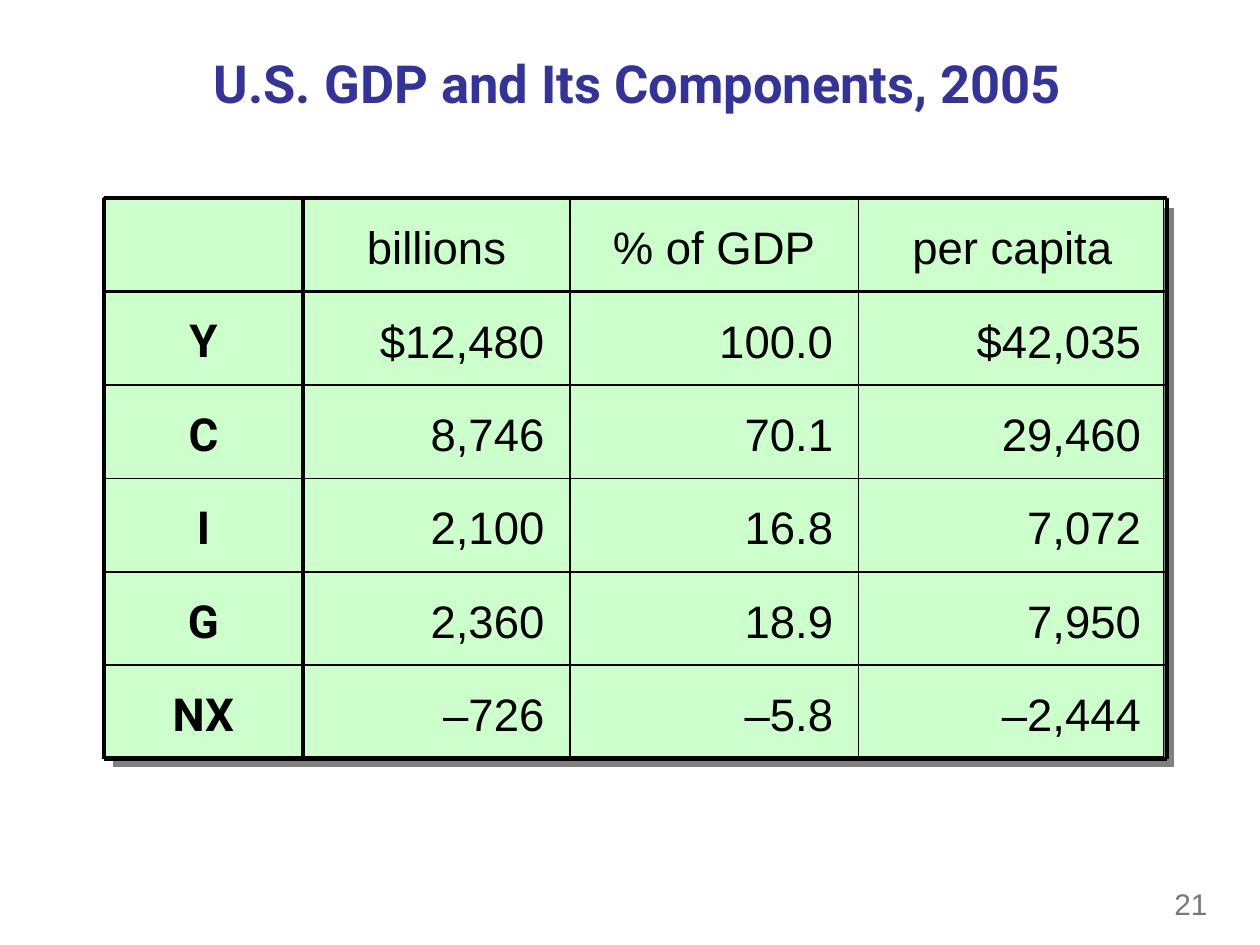
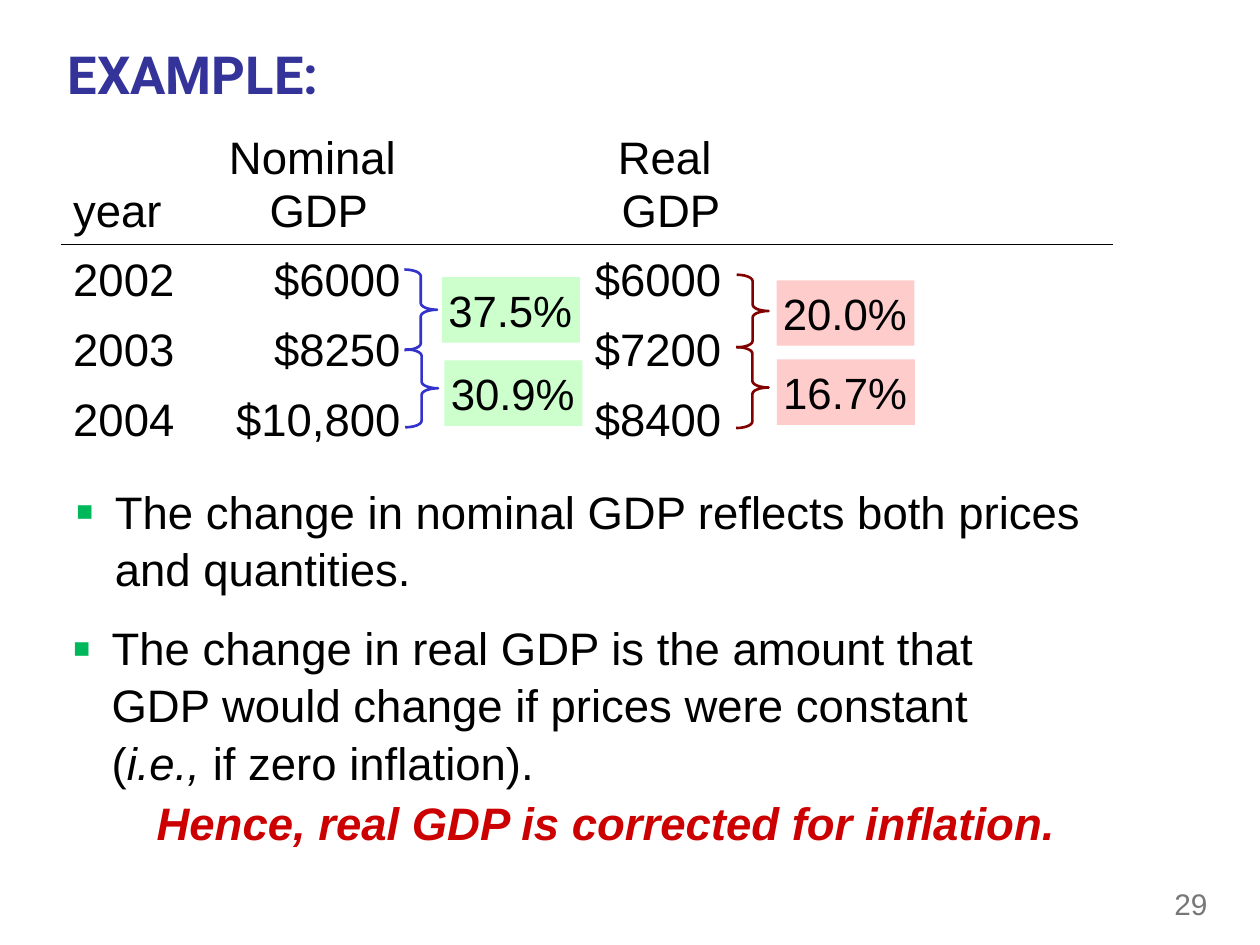
from lxml.etree import SubElement
from pptx import Presentation
from pptx.dml.color import RGBColor as Rgb
from pptx.enum.shapes import MSO_CONNECTOR as Connector, MSO_SHAPE as Shape
from pptx.enum.text import MSO_ANCHOR as Anchor, MSO_AUTO_SIZE as AutoSize, PP_ALIGN as Align
from pptx.oxml.ns import qn
from pptx.util import Pt

COLORS = {
    "title": "333399", "text": "000000", "number": "777777", "bullet": "00B85C",
    "green": "CCFFCC", "pink": "FFCCCC", "blue": "3333CC", "maroon": "800000",
    "conclusion": "CC0000", "shadow": "808080",
}
TEXT = {"name": "Arial", "size": Pt(26), "bold": False, "italic": False}
HEADING = TEXT | {"name": "Roboto", "bold": True}
TITLE = HEADING | {"size": Pt(30)}
NUMBER = TEXT | {"size": Pt(17)}
RATE = TEXT | {"size": Pt(25)}
CONCLUSION = TEXT | {"bold": True, "italic": True}
MARGINS = {"margin_left": Pt(7.2), "margin_right": Pt(7.2),
           "margin_top": Pt(3.6), "margin_bottom": Pt(3.6)}
FRAME = MARGINS | {"word_wrap": True, "auto_size": AutoSize.NONE, "vertical_anchor": Anchor.TOP}
MIDDLE = FRAME | {"vertical_anchor": Anchor.MIDDLE}
RATE_FRAME = FRAME | {"margin_left": Pt(3.6), "margin_right": Pt(3.6), "word_wrap": False}
NO_STYLE = "{2D5ABB26-0587-4C30-8999-92F81FD0307C}"

COMPONENTS = [
    ("", "billions", "% of GDP", "per capita"),
    ("Y", "$12,480", "100.0", "$42,035"),
    ("C", "8,746", "70.1", "29,460"),
    ("I", "2,100", "16.8", "7,072"),
    ("G", "2,360", "18.9", "7,950"),
    ("NX", "–726", "–5.8", "–2,444"),
]
GDP_BY_YEAR = [
    ("year", "Nominal \nGDP", "", "Real \nGDP", ""),
    ("2002", "$6000", "", "$6000", ""),
    ("2003", "$8250", "", "$7200", ""),
    ("2004", "$10,800", "", "$8400", ""),
]
NOMINAL_GROWTH = [("37.5%", (231.1, 154, 18.7, 46), (252.6, 158.4)),
                  ("30.9%", (231.6, 199.6, 18.7, 44.6), (254, 206))]
REAL_GROWTH = [("20.0%", (421, 157, 18.2, 41.5), (443.8, 160.2)),
               ("16.7%", (420.7, 198.3, 18.5, 46.3), (444, 205.4))]


def color(key):
    """Return the named colour."""
    return Rgb.from_string(COLORS[key])


def points(*lengths):
    """Turn numbers into lengths in points."""
    return [Pt(length) for length in lengths]


def apply(target, values):
    """Set attributes from a dict of format values."""
    for attribute, value in values.items():
        setattr(target, attribute, value)


def write(frame, pieces, font, ink="text", align=Align.LEFT, spacing=1.0):
    """Write one paragraph of (text, font overrides) pieces and return it."""
    paragraph = frame.paragraphs[0]
    apply(paragraph, {"alignment": align, "line_spacing": spacing})
    for text, overrides in pieces:
        for index, line in enumerate(text.split("\n")):
            if index:
                paragraph.add_line_break()
            run = paragraph.add_run()
            run.text = line
            apply(run.font, font | overrides)
            run.font.color.rgb = color(ink)
    return paragraph


def add_text(slide, box, text, font, layout=FRAME, **style):
    """Add a text box with one plain paragraph."""
    frame = slide.shapes.add_textbox(*points(*box)).text_frame
    apply(frame, layout)
    write(frame, [(text, {})], font, **style)


def add_bullet(slide, box, pieces):
    """Add a text box with one bulleted paragraph."""
    frame = slide.shapes.add_textbox(*points(*box)).text_frame
    apply(frame, FRAME)
    properties = write(frame, pieces, TEXT, spacing=1.05)._p.get_or_add_pPr()
    properties.set("marL", str(Pt(22.5)))
    properties.set("indent", str(Pt(-22.5)))
    bullet_color = SubElement(properties, qn("a:buClr"))
    SubElement(bullet_color, qn("a:srgbClr"), val=COLORS["bullet"])
    SubElement(properties, qn("a:buSzPct"), val="120000")
    SubElement(properties, qn("a:buFont"), typeface="Arial")
    SubElement(properties, qn("a:buChar"), char="▪")


def add_titled_slide(deck, title, box, align, number):
    """Add a slide with its title and slide number."""
    slide = deck.slides.add_slide(deck.slide_layouts[5])
    heading = slide.shapes.title
    apply(heading, dict(zip(("left", "top", "width", "height"), points(*box))))
    apply(heading.text_frame, MIDDLE)
    write(heading.text_frame, [(title, {})], TITLE, "title", align)
    add_text(slide, (664, 501.4, 48.2, 29.5), number, NUMBER, MIDDLE, ink="number")
    return slide


def set_borders(cell, widths):
    """Draw the cell sides given by letter and width, and clear the others."""
    properties = cell._tc.get_or_add_tcPr()
    for index, side in enumerate("LRTB"):
        line = SubElement(properties, qn(f"a:ln{side}"), w=str(Pt(widths.get(side, 0))))
        if side in widths:
            fill = SubElement(line, qn("a:solidFill"))
            SubElement(fill, qn("a:srgbClr"), val=COLORS["text"])
        else:
            SubElement(line, qn("a:noFill"))
        properties.insert(index, line)


def add_grid(slide, left, top, widths, heights, rows, format_cell):
    """Add an unstyled table and format each cell by its row and column."""
    box = points(left, top, sum(widths), sum(heights))
    table = slide.shapes.add_table(len(rows), len(widths), *box).table
    apply(table, {"first_row": False, "horz_banding": False})
    table._tbl.tblPr.find(qn("a:tableStyleId")).text = NO_STYLE
    for column, width in zip(table.columns, widths):
        column.width = Pt(width)
    for r, (row, height) in enumerate(zip(rows, heights)):
        table.rows[r].height = Pt(height)
        for c, text in enumerate(row):
            cell = table.cell(r, c)
            apply(cell, MARGINS | {"vertical_anchor": Anchor.MIDDLE})
            cell.fill.background()
            font, align = format_cell(cell, r, c)
            write(cell.text_frame, [(text, {})] if text else [], font, align=align, spacing=1.05)


def add_shadow_panel(slide, box):
    """Add the green panel with its hard grey shadow."""
    panel = slide.shapes.add_shape(Shape.RECTANGLE, *points(*box))
    panel.shadow.inherit = False
    panel.fill.solid()
    panel.fill.fore_color.rgb = color("green")
    panel.line.color.rgb = color("text")
    panel.line.width = Pt(0.75)
    effects = panel._element.spPr.find(qn("a:effectLst"))
    shadow = SubElement(effects, qn("a:outerShdw"), dist=str(Pt(8.5)), dir="2700000",
                        algn="ctr", rotWithShape="0")
    SubElement(shadow, qn("a:srgbClr"), val=COLORS["shadow"])


def add_rule(slide, ends, weight):
    """Add one straight black rule."""
    rule = slide.shapes.add_connector(Connector.STRAIGHT, *points(*ends))
    rule.line.color.rgb = color("text")
    rule.line.width = Pt(weight)
    SubElement(rule._element.spPr, qn("a:effectLst"))


def add_rules(slide, left, top, widths, heights):
    """Rule a grid, heavier at its frame, header row and first column."""
    right, bottom = left + sum(widths), top + sum(heights)
    for index in range(len(heights) + 1):
        y = top + sum(heights[:index])
        add_rule(slide, (left, y, right, y), 2.25 if index in (0, 1, len(heights)) else 1)
    for index in range(len(widths) + 1):
        x = left + sum(widths[:index])
        add_rule(slide, (x, top, x, bottom), 2.25 if index in (0, 1, len(widths)) else 1)


def format_component(cell, row, column):
    """Align a cell of the components table."""
    cell.margin_top = Pt(6.8)
    if row and column:
        cell.margin_right = Pt(14.4)
        return TEXT, Align.RIGHT
    return (TEXT if column else HEADING), Align.CENTER


def format_year(cell, row, column):
    """Align a cell of the yearly table and rule off its header."""
    set_borders(cell, {0: {"B": 0.45}, 1: {"T": 0.45}}.get(row, {}))
    if row == 0:
        cell.vertical_anchor = Anchor.BOTTOM
        return TEXT, Align.CENTER if column else Align.LEFT
    if column == 1:
        cell.margin_right = Pt(18)
        return TEXT, Align.RIGHT
    return TEXT, Align.LEFT


def add_growth(slide, rates, fill, line):
    """Add braces between years, each with its growth rate."""
    for rate, brace_box, (left, top) in rates:
        brace = slide.shapes.add_shape(Shape.RIGHT_BRACE, *points(*brace_box))
        label = slide.shapes.add_shape(Shape.RECTANGLE, *points(left, top, 78.8, 37.4))
        for part in (brace, label):
            part.shadow.inherit = False
        brace.adjustments[0] = 0.2
        brace.fill.background()
        brace.line.color.rgb = color(line)
        brace.line.width = Pt(1.5)
        label.fill.solid()
        label.fill.fore_color.rgb = color(fill)
        label.line.fill.background()
        apply(label.text_frame, RATE_FRAME)
        write(label.text_frame, [(rate, {})], RATE)


def build_components(deck):
    """Build the slide on GDP and its components."""
    slide = add_titled_slide(deck, "U.S. GDP and Its Components, 2005",
                             (27.2, 21.3, 674.6, 51.8), Align.CENTER, "21")
    left, top, widths, heights = 59.2, 113.2, (114.2, 152.2, 165, 176), [53.4] * 6
    add_shadow_panel(slide, (left, top, 605.5, 319))
    add_grid(slide, left, top, widths, heights, COMPONENTS, format_component)
    add_rules(slide, left, top, widths, heights)


def build_example(deck):
    """Build the slide comparing nominal and real GDP."""
    slide = add_titled_slide(deck, "EXAMPLE:", (31.5, 19.8, 531.4, 44.6), Align.LEFT, "29")
    add_bullet(slide, (36, 271.4, 627, 85), [
        ("The change in nominal GDP reflects both prices and quantities.", {})])
    add_grid(slide, 34.6, 66.4, (82.8, 129.6, 85.7, 101.5, 201.6), (73, 40.2, 40.2, 40.2),
             GDP_BY_YEAR, format_year)
    add_growth(slide, REAL_GROWTH, "pink", "maroon")
    add_growth(slide, NOMINAL_GROWTH, "green", "blue")
    add_bullet(slide, (34.2, 349.2, 632, 111), [
        ("The change in real GDP is the amount that \n"
         "GDP would change if prices were constant \n(", {}),
        ("i.e.,", {"italic": True}),
        (" if zero inflation).", {})])
    add_text(slide, (34.2, 449, 632, 41.8), "Hence, real GDP is corrected for inflation. ",
             CONCLUSION, ink="conclusion", align=Align.CENTER, spacing=1.05)


def main():
    """Build and save the deck."""
    deck = Presentation()
    apply(deck, {"slide_width": Pt(720), "slide_height": Pt(540)})
    build_components(deck)
    build_example(deck)
    deck.save("out.pptx")


if __name__ == "__main__":
    main()
